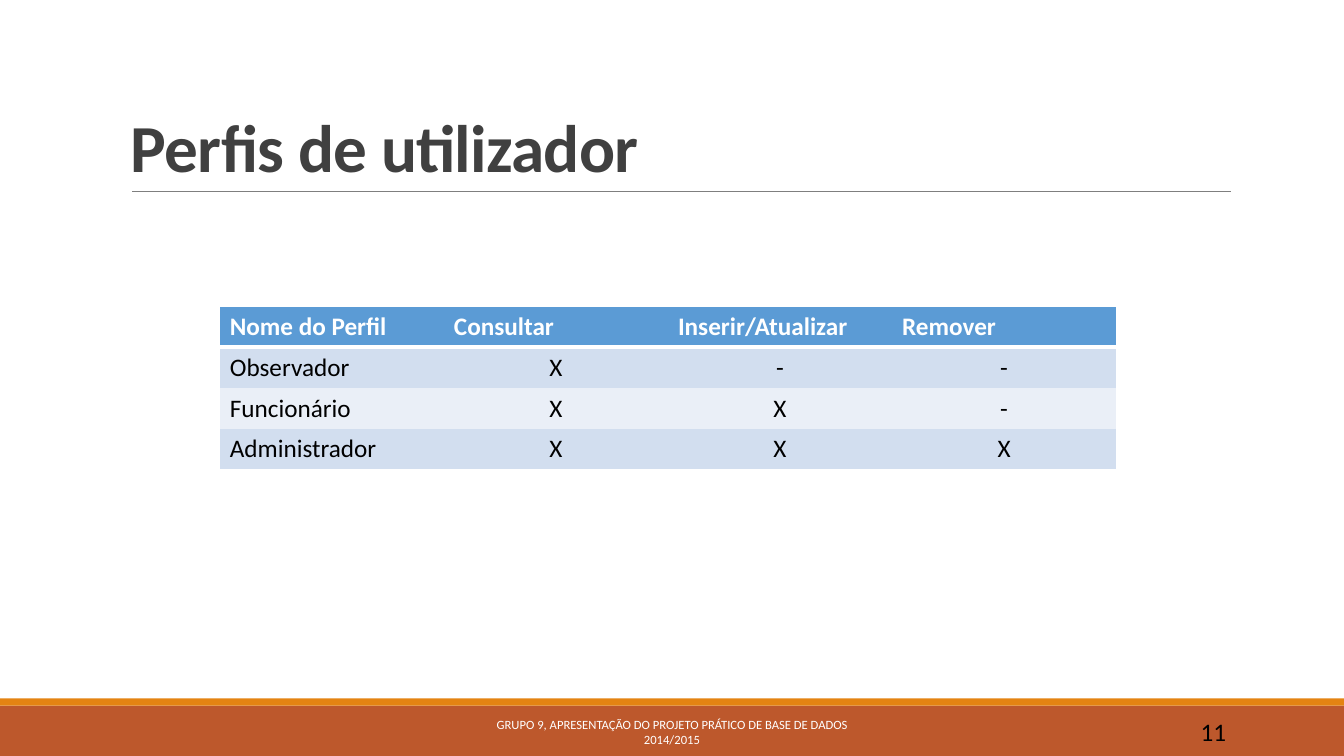
"""Build the user profiles slide with its permissions table."""
import pptx
import pptx.dml.color
import pptx.enum.shapes
import pptx.enum.text
import pptx.oxml
import pptx.oxml.ns
import pptx.util
from pptx.util import Inches

ALIGN = pptx.enum.text.PP_ALIGN
ANCHOR = pptx.enum.text.MSO_ANCHOR


def rgb(value):
    return pptx.dml.color.RGBColor.from_string(value)


def write(tf, lines, size, color, align=ALIGN.LEFT, bold=False):
    tf.word_wrap = True
    for i, line in enumerate(lines):
        p = tf.paragraphs[0] if i == 0 else tf.add_paragraph()
        p.alignment = align
        r = p.add_run()
        r.text = line
        r.font.name = "Calibri"
        r.font.size = pptx.util.Pt(size)
        r.font.bold = bold
        r.font.color.rgb = rgb(color)


prs = pptx.Presentation()
prs.slide_width, prs.slide_height = Inches(13.33), Inches(7.5)
s = prs.slides.add_slide(prs.slide_layouts[6])

for top, height, color in [(7, 0.5, "BD582C"), (6.93, 0.07, "E48312")]:
    bar = s.shapes.add_shape(pptx.enum.shapes.MSO_SHAPE.RECTANGLE,
                             0, Inches(top), prs.slide_width, Inches(height))
    bar.shadow.inherit = False
    bar.fill.solid()
    bar.fill.fore_color.rgb = rgb(color)
    bar.line.fill.background()

rule = s.shapes.add_connector(pptx.enum.shapes.MSO_CONNECTOR.STRAIGHT,
                              Inches(1.31), Inches(1.9), Inches(12.21), Inches(1.9))
rule.line.color.rgb = rgb("7F7F7F")
rule.line.width = pptx.util.Pt(0.5)
rule._element.spPr.append(pptx.oxml.parse_xml(
    f"<a:effectLst {pptx.oxml.ns.nsdecls('a')}/>"))

title = s.shapes.add_textbox(Inches(1.2), Inches(0.31), Inches(11), Inches(1.59))
tf = title.text_frame
tf.vertical_anchor = ANCHOR.BOTTOM
write(tf, ["Perfis de utilizador"], 48, "404040", bold=True)
tf.paragraphs[0].line_spacing = 0.85
tf.paragraphs[0].runs[0].font._element.set("spc", "-50")

footers = [
    (4.03, 5.27, ["GRUPO 9, APRESENTAÇÃO DO PROJETO PRÁTICO DE BASE DE DADOS", "2014/2015"],
     9, "FFFFFF", ALIGN.CENTER),
    (10.83, 1.43, ["11"], 18, "000000", ALIGN.RIGHT),
]
for left, width, lines, size, color, align in footers:
    sp = s.shapes.add_textbox(Inches(left), Inches(7.06), Inches(width), Inches(0.4))
    sp.text_frame.vertical_anchor = ANCHOR.MIDDLE
    write(sp.text_frame, lines, size, color, align)

profiles = [
    ["Nome do Perfil", "Consultar", "Inserir/Atualizar", "Remover"],
    ["Observador", "X", "-", "-"],
    ["Funcionário", "X", "X", "-"],
    ["Administrador", "X", "X", "X"],
]
row_fills = ["5B9BD5", "D2DEEF", "EAEFF7", "D2DEEF"]
last = len(profiles) - 1
frame = s.shapes.add_table(4, 4, Inches(2.18), Inches(3.04), Inches(8.89), Inches(1.62))
table = frame.table
style_id = table._tbl.tblPr.find(pptx.oxml.ns.qn("a:tableStyleId"))
style_id.text = "{2D5ABB26-0587-4C30-8999-92F81FD0307C}"

for i, row in enumerate(profiles):
    for j, text in enumerate(row):
        cell = table.cell(i, j)
        header = i == 0
        write(cell.text_frame, [text], 18, "FFFFFF" if header else "000000",
              ALIGN.LEFT if header or j == 0 else ALIGN.CENTER, header)
        borders = {
            "L": 1 if j == 0 else 0,
            "R": 1 if j == last else 0,
            "T": 1 if header else 0,
            "B": 3 if header else 1 if i == last else 0,
        }
        tcPr = cell._tc.get_or_add_tcPr()
        for side, width in borders.items():
            if width:
                tcPr.append(pptx.oxml.parse_xml(
                    f'<a:ln{side} {pptx.oxml.ns.nsdecls("a")} w="{pptx.util.Pt(width)}">'
                    f'<a:solidFill><a:srgbClr val="FFFFFF"/></a:solidFill></a:ln{side}>'))
        cell.fill.solid()
        cell.fill.fore_color.rgb = rgb(row_fills[i])

prs.save("out.pptx")
